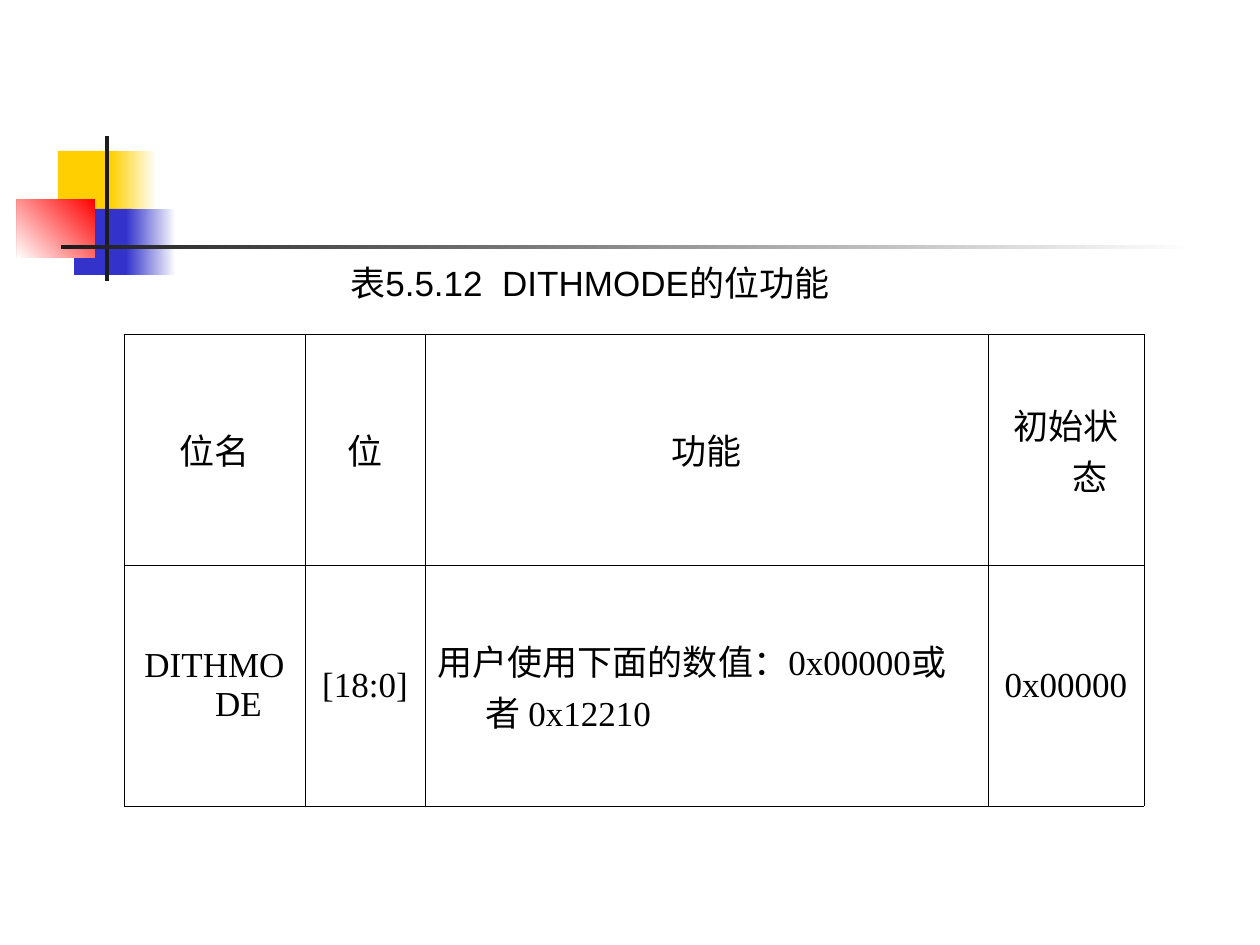
"""Build the slide with the DITHMODE bit table."""
from lxml.etree import SubElement
from pptx import Presentation
from pptx.dml.color import RGBColor
from pptx.enum.shapes import MSO_SHAPE
from pptx.enum.text import MSO_ANCHOR, MSO_AUTO_SIZE, PP_ALIGN
from pptx.oxml.ns import qn
from pptx.util import Inches, Pt

WHITE = RGBColor(255, 255, 255)
BLACK = RGBColor(0, 0, 0)
GOLD = RGBColor(255, 207, 1)
BLUE = RGBColor(51, 51, 204)
RED = RGBColor(255, 0, 0)
DARK = RGBColor(28, 28, 28)

TITLE = "表5.5.12  DITHMODE的位功能"
TITLE_BOX = (329, 255, 522, 55)
ROWS = [
    ("位名", "位", "功能", "初始状态"),
    ("DITHMODE", "[18:0]", "用户使用下面的数值：0x00000或者 0x12210", "0x00000"),
]
TABLE_AT = (124, 334)
WIDTHS = (181, 120, 563, 156)
HEIGHTS = (231, 241)
LEFT_CELL = (1, 2)
DECOR = [
    ((58, 151, 60, 66), (GOLD,), 0),
    ((111, 151, 45, 66), (WHITE, GOLD), 180),
    ((74, 209, 58, 66), (BLUE,), 0),
    ((126, 209, 50, 66), (WHITE, BLUE), 180),
    ((17, 199, 78, 59), (RED, WHITE), 225),
    ((105, 136, 4, 145), (DARK,), 0),
    ((61, 245, 1134, 4), (WHITE, DARK), 180),
]
FRAME = dict(word_wrap=False, auto_size=MSO_AUTO_SIZE.SHAPE_TO_FIT_TEXT,
             vertical_anchor=MSO_ANCHOR.MIDDLE)
FONT = dict(size=Pt(20), bold=False)
PLAIN = dict(first_row=False, horz_banding=False)
HANG = dict(marL=Inches(0.38), indent=-Inches(0.38))


def px(num):
    return round(num * 914400 / 126)


def apply(item, attrs):
    for name, value in attrs.items():
        setattr(item, name, value)


def style(para, face, align):
    para.alignment = align
    apply(para.font, dict(FONT, name=face))
    para.font.color.rgb = BLACK


def paint(shape, colors, angle):
    fill = shape.fill
    if len(colors) == 1:
        fill.solid()
        fill.fore_color.rgb = colors[0]
    else:
        fill.gradient()
        fill.gradient_angle = angle
        for stop, color in zip(fill.gradient_stops, colors):
            stop.color.rgb = color
    shape.line.fill.background()
    shape.shadow.inherit = False


def border(cell):
    props = cell._tc.get_or_add_tcPr()
    for side in ("lnL", "lnR", "lnT", "lnB"):
        line = SubElement(props, qn(f"a:{side}"), w=str(Pt(0.45)))
        fill = SubElement(line, qn("a:solidFill"))
        SubElement(fill, qn("a:srgbClr"), val=str(BLACK))


def add_grid(slide):
    size = (sum(WIDTHS), sum(HEIGHTS))
    table = slide.shapes.add_table(
        len(HEIGHTS), len(WIDTHS), *map(px, TABLE_AT + size)).table
    apply(table, PLAIN)
    for col, width in zip(table.columns, WIDTHS):
        col.width = px(width)
    for row, height in zip(table.rows, HEIGHTS):
        row.height = px(height)
    for i, texts in enumerate(ROWS):
        for j, text in enumerate(texts):
            cell = table.cell(i, j)
            cell.text = text
            cell.vertical_anchor = MSO_ANCHOR.MIDDLE
            para = cell.text_frame.paragraphs[0]
            align = PP_ALIGN.LEFT if (i, j) == LEFT_CELL else PP_ALIGN.CENTER
            style(para, "Times New Roman", align)
            for name, value in HANG.items():
                para._p.get_or_add_pPr().set(name, str(value))
            border(cell)
            cell.fill.background()


def main():
    deck = Presentation()
    deck.slide_width, deck.slide_height = px(1260), px(945)
    slide = deck.slides.add_slide(deck.slide_layouts[5])
    for box, colors, angle in DECOR:
        shape = slide.shapes.add_shape(MSO_SHAPE.RECTANGLE, *map(px, box))
        paint(shape, colors, angle)
    title = slide.shapes.title
    apply(title, dict(zip(("left", "top", "width", "height"), map(px, TITLE_BOX))))
    title.text_frame.text = TITLE
    apply(title.text_frame, FRAME)
    style(title.text_frame.paragraphs[0], "Arial", PP_ALIGN.CENTER)
    add_grid(slide)
    deck.save("out.pptx")


if __name__ == "__main__":
    main()
